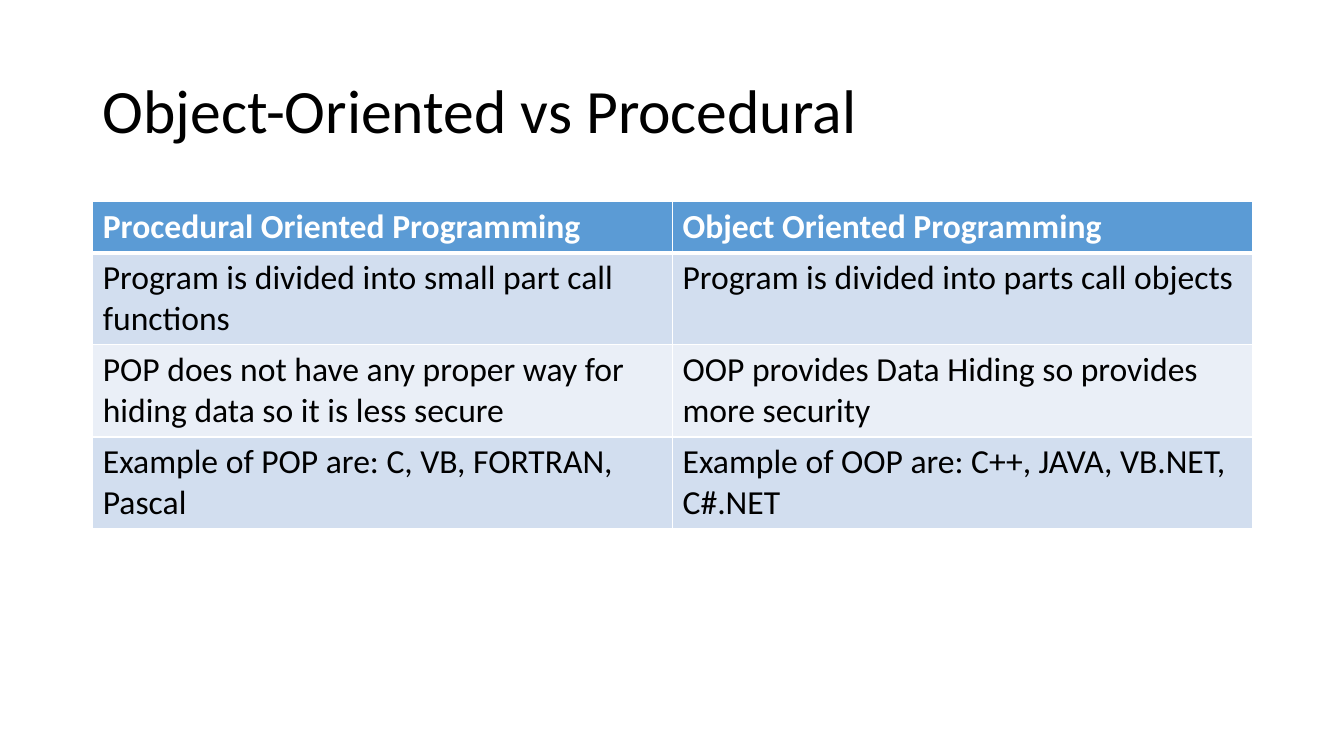
from dataclasses import dataclass

from lxml import etree
from pptx import Presentation
from pptx.dml.color import RGBColor
from pptx.enum.text import MSO_ANCHOR, MSO_AUTO_SIZE, PP_ALIGN
from pptx.oxml.ns import qn
from pptx.util import Inches, Pt

LEFT = PP_ALIGN.LEFT
MIDDLE = MSO_ANCHOR.MIDDLE
NO_FIT = MSO_AUTO_SIZE.NONE
TITLE_ONLY = 5
FONT = "Calibri"
BLACK, WHITE = "000000", "FFFFFF"


@dataclass
class Row:
    cells: tuple[str, str]
    fill: str
    height: float = 0.91
    color: str = BLACK
    bold: bool = False
    top: float = 1
    base: float = 1


ROWS = [
    Row(("Procedural Oriented Programming", "Object Oriented Programming"),
        "5B9BD5", height=0.5, color=WHITE, bold=True, base=3),
    Row(("Program is divided into small part call functions",
         "Program is divided into parts call objects"), "D2DEEF", top=3),
    Row(("POP does not have any proper way for hiding data so it is less secure",
         "OOP provides Data Hiding so provides more security"), "EAEFF7"),
    Row(("Example of POP are: C, VB, FORTRAN, Pascal",
         "Example of OOP are: C++, JAVA, VB.NET, C#.NET"), "D2DEEF"),
]


def rgb(code: str) -> RGBColor:
    return RGBColor.from_string(code)


def write(frame, text: str, *, size: float, color: str = BLACK,
          bold: bool = False, space: float = 1.0) -> None:
    frame.word_wrap = True
    para = frame.paragraphs[0]
    para.alignment = LEFT
    para.line_spacing = space
    run = para.add_run()
    run.text = text
    font = run.font
    font.name, font.size, font.bold = FONT, Pt(size), bold
    font.color.rgb = rgb(color)


def edge(cell, side: str, width: float) -> None:
    props = cell._tc.get_or_add_tcPr()
    line = etree.SubElement(props, qn(f"a:ln{side}"), w=str(Pt(width)))
    fill = etree.SubElement(line, qn("a:solidFill"))
    etree.SubElement(fill, qn("a:srgbClr"), val=WHITE)


def draw_row(table, index: int, row: Row) -> None:
    table.rows[index].height = Inches(row.height)
    for col, text in enumerate(row.cells):
        cell = table.cell(index, col)
        for side, width in (("L", 1), ("R", 1), ("T", row.top), ("B", row.base)):
            edge(cell, side, width)
        cell.fill.solid()
        cell.fill.fore_color.rgb = rgb(row.fill)
        write(cell.text_frame, text, size=24, color=row.color, bold=row.bold)


def main() -> None:
    deck = Presentation()
    deck.slide_width, deck.slide_height = Inches(13.33), Inches(7.5)
    slide = deck.slides.add_slide(deck.slide_layouts[TITLE_ONLY])

    # Title
    title = slide.shapes.title
    title.left, title.top = Inches(0.92), Inches(0.4)
    title.width, title.height = Inches(11.5), Inches(1.45)
    title.text_frame.auto_size = NO_FIT
    title.text_frame.vertical_anchor = MIDDLE
    write(title.text_frame, "Object-Oriented vs Procedural", size=44, space=0.9)

    # Comparison table
    height = sum(row.height for row in ROWS)
    table = slide.shapes.add_table(
        len(ROWS), 2, Inches(0.92), Inches(2), Inches(11.5), Inches(height)
    ).table
    for index, row in enumerate(ROWS):
        draw_row(table, index, row)

    deck.save("out.pptx")


if __name__ == "__main__":
    main()
